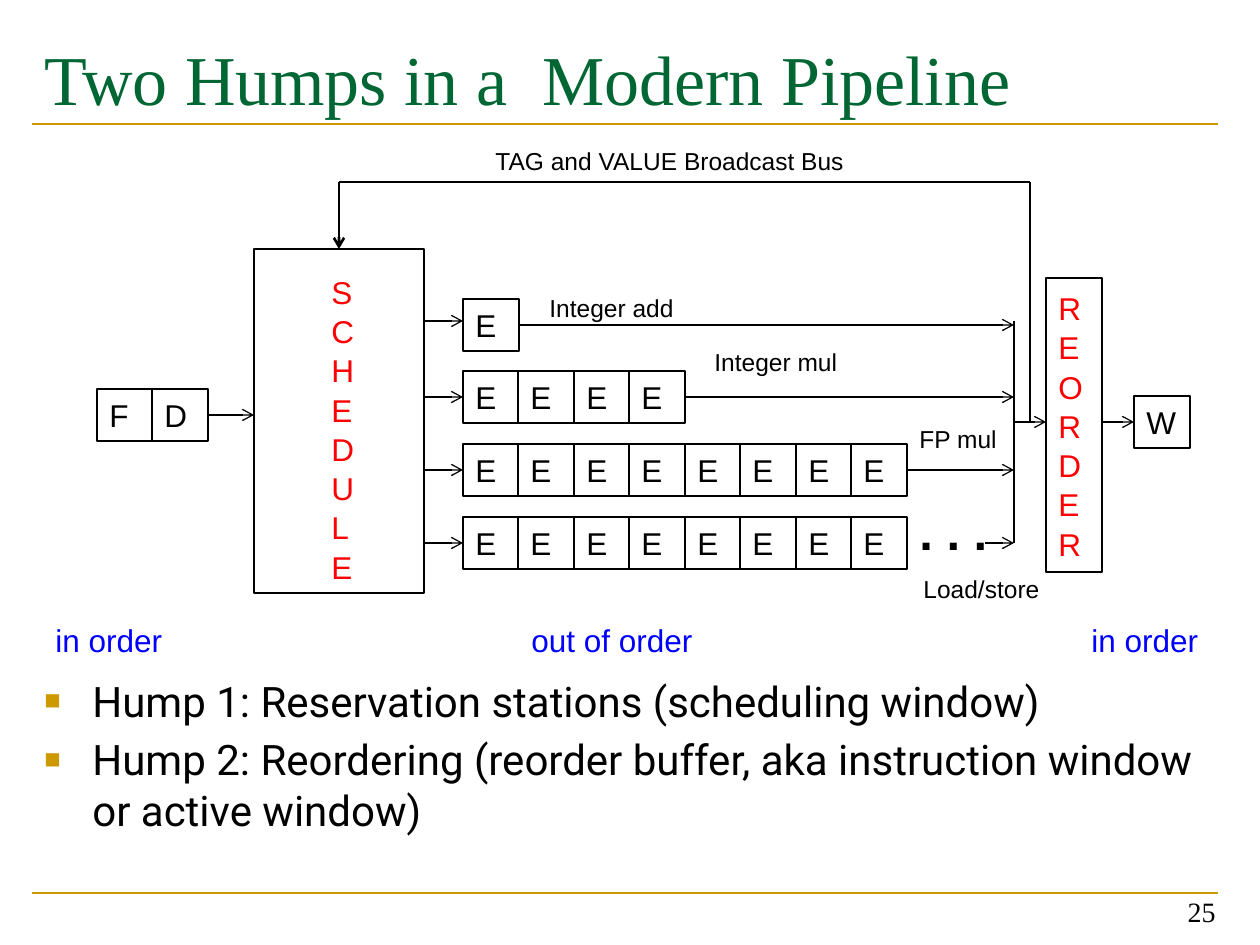
import dataclasses
import typing

import pptx
import pptx.dml.color
import pptx.enum.shapes
import pptx.enum.text
import pptx.oxml.ns
import pptx.util
from lxml import etree

SCALE = 914400 / 126  # EMU in one px
ANCHOR = pptx.enum.text.MSO_ANCHOR
ALIGN = pptx.enum.text.PP_ALIGN
TOP, LEFT, BOTTOM, RIGHT = range(4)


@dataclasses.dataclass(frozen=True)
class Theme:
    ink: str = "000000"
    paper: str = "FFFFFF"
    green: str = "006633"
    gold: str = "CC9900"
    red: str = "FF0000"
    blue: str = "0000FF"
    sans: str = "Arial"
    serif: str = "Times New Roman"
    body: str = "Roboto"
    title: int = 40
    dots: int = 28
    point: int = 24
    cell: int = 18
    page: int = 16
    label: int = 14
    thin: float = 0.75
    thick: float = 1.5


@dataclasses.dataclass(frozen=True)
class Box:
    x: int
    y: int
    w: int
    h: int


@dataclasses.dataclass(frozen=True)
class Lane:
    """One row of execute stages, with the height of its feed arrow."""
    count: int
    top: int
    feed: int


@dataclasses.dataclass(frozen=True)
class Label:
    text: str
    box: Box
    size: int
    color: str
    bold: bool = False
    wrap: bool = False


Join = typing.Optional[typing.Tuple[typing.Any, int]]
T = Theme()
CELL_H = 52
FEED_X, LANE_X, MERGE_X, BUS_X = 424, 463, 1014, 1030
BUS_Y, MERGE_Y = 182, 422
SCHED = Box(254, 249, 170, 344)
ORDER = Box(1046, 278, 56, 294)

LANES = [Lane(1, 299, 321), Lane(4, 371, 397),
         Lane(8, 444, 470), Lane(8, 517, 543)]

LABELS = [
    Label(". . .", Box(907, 495, 95, 72), T.dots, T.ink, bold=True),
    Label("Integer add", Box(537, 287, 150, 43), T.label, T.ink),
    Label("Integer mul", Box(702, 341, 149, 43), T.label, T.ink),
    Label("FP mul", Box(907, 418, 103, 43), T.label, T.ink),
    Label("Load/store", Box(911, 568, 169, 43), T.label, T.ink, wrap=True),
    Label("\n".join("SCHEDULE"), Box(319, 265, 48, 319), T.cell, T.red),
    Label("TAG and VALUE Broadcast Bus", Box(483, 140, 375, 43),
          T.label, T.ink),
    Label("in order", Box(43, 615, 134, 50), T.cell, T.blue),
    Label("out of order", Box(519, 615, 188, 50), T.cell, T.blue),
    Label("in order", Box(1079, 615, 134, 50), T.cell, T.blue),
]

POINTS = ["Hump 1: Reservation stations (scheduling window)",
          "Hump 2: Reordering (reorder buffer, aka instruction window "
          "or active window)"]


def px(n: float) -> int:
    return round(n * SCALE)


def rgb(code: str) -> pptx.dml.color.RGBColor:
    return pptx.dml.color.RGBColor.from_string(code)


def place(box: Box) -> typing.List[int]:
    return [px(n) for n in (box.x, box.y, box.w, box.h)]


def write(frame, text: str, *, size: int, color: str = T.ink,
          font: str = T.sans, bold: bool = False, wrap: bool = True,
          align=ALIGN.LEFT, anchor=ANCHOR.TOP, lead: float = 1.0,
          before: float = 0) -> None:
    """Fill a text frame, one paragraph for each line of text."""
    frame.word_wrap = wrap
    frame.vertical_anchor = anchor
    for i, line in enumerate(text.split("\n")):
        para = frame.add_paragraph() if i else frame.paragraphs[0]
        para.alignment = align
        para.line_spacing = lead
        para.space_before = pptx.util.Pt(before)
        run = para.add_run()
        run.text = line
        run.font.size = pptx.util.Pt(size)
        run.font.name = font
        run.font.bold = bold
        run.font.color.rgb = rgb(color)


def note(slide, box: Box, text: str, **form):
    shape = slide.shapes.add_textbox(*place(box))
    write(shape.text_frame, text, **form)
    return shape


def block(slide, box: Box, text: str = "", **form):
    """Draw a white, thinly outlined rectangle."""
    kind = pptx.enum.shapes.MSO_SHAPE.RECTANGLE
    shape = slide.shapes.add_shape(kind, *place(box))
    shape.shadow.inherit = False
    shape.fill.solid()
    shape.fill.fore_color.rgb = rgb(T.paper)
    shape.line.color.rgb = rgb(T.ink)
    shape.line.width = pptx.util.Pt(T.thin)
    if text:
        write(shape.text_frame, text, size=T.cell, **form)
    return shape


def stage(slide, x: int, y: int, text: str):
    return block(slide, Box(x, y, 56, CELL_H), text, anchor=ANCHOR.MIDDLE)


def link(slide, x1: int, y1: int, x2: int, y2: int, *, color: str = T.ink,
         width: float = T.thin, head: bool = False, start: Join = None,
         end: Join = None) -> None:
    """Draw a straight line; start and end join it to a shape's side."""
    kind = pptx.enum.shapes.MSO_CONNECTOR.STRAIGHT
    line = slide.shapes.add_connector(kind, *map(px, (x1, y1, x2, y2)))
    line.line.color.rgb = rgb(color)
    line.line.width = pptx.util.Pt(width)
    qn = pptx.oxml.ns.qn
    if head:
        etree.SubElement(line.line._get_or_add_ln(), qn("a:tailEnd"),
                         type="arrow")
    etree.SubElement(line._element.spPr, qn("a:effectLst"))
    if start:
        line.begin_connect(*start)
    if end:
        line.end_connect(*end)


def bullet(para) -> None:
    qn = pptx.oxml.ns.qn
    props = para._p.get_or_add_pPr()
    props.set("marL", str(px(48)))
    props.set("indent", str(-px(48)))
    tint = etree.SubElement(props, qn("a:buClr"))
    etree.SubElement(tint, qn("a:srgbClr"), val=T.gold)
    etree.SubElement(props, qn("a:buSzPct"), val="65000")
    etree.SubElement(props, qn("a:buFont"), typeface=T.sans)
    etree.SubElement(props, qn("a:buChar"), char="■")


def frame(slide) -> None:
    """Draw the rules, title, bullet points and page number."""
    for y in (893, 124):
        link(slide, 32, y, 1218, y, color=T.gold, width=T.thick)
    title = note(slide, Box(32, 21, 1187, 147),
                 "Two Humps in a  Modern Pipeline", size=T.title,
                 color=T.green, font=T.serif)
    title.text_frame.margin_top = px(15)
    points = note(slide, Box(32, 669, 1213, 184), "\n".join(POINTS),
                  size=T.point, font=T.body, before=4.8)
    for para in points.text_frame.paragraphs:
        bullet(para)
    note(slide, Box(934, 871, 294, 63), "25", size=T.page, font=T.serif,
         align=ALIGN.RIGHT, anchor=ANCHOR.BOTTOM)


def flow(slide) -> None:
    """Draw the pipeline from fetch to write-back."""
    sched = block(slide, SCHED)
    stage(slide, 97, 389, "F")
    decode = stage(slide, 152, 389, "D")
    link(slide, 208, 415, SCHED.x, 415, head=True, start=(decode, RIGHT))

    for lane in LANES:
        mid = lane.top + CELL_H // 2
        cells = [stage(slide, LANE_X + i * 111 // 2, lane.top, "E")
                 for i in range(lane.count)]
        link(slide, FEED_X, lane.feed, LANE_X, lane.feed, head=True,
             end=(cells[0], LEFT) if lane.feed == mid else None)
        last = lane is LANES[-1]
        link(slide, 985, mid, MERGE_X, mid, head=True,
             start=None if last else (cells[-1], RIGHT))
    for x in (FEED_X, MERGE_X):
        link(slide, x, LANES[0].feed, x, LANES[-1].feed)

    block(slide, ORDER, "\n".join("REORDER"), color=T.red, lead=1.04,
          anchor=ANCHOR.MIDDLE)
    final = stage(slide, 1134, 396, "W")
    link(slide, MERGE_X, MERGE_Y, ORDER.x, MERGE_Y, head=True)
    link(slide, ORDER.x + ORDER.w, MERGE_Y, 1134, MERGE_Y, head=True,
         end=(final, LEFT))

    drop = SCHED.x + SCHED.w // 2
    link(slide, BUS_X, MERGE_Y, BUS_X, BUS_Y, width=T.thick)
    link(slide, BUS_X, BUS_Y, drop, BUS_Y, width=T.thick)
    link(slide, drop, BUS_Y, drop, SCHED.y, width=T.thick, head=True,
         end=(sched, TOP))


def main() -> None:
    deck = pptx.Presentation()
    deck.slide_width, deck.slide_height = px(1260), px(945)
    slide = deck.slides.add_slide(deck.slide_layouts[6])
    frame(slide)
    flow(slide)
    for item in LABELS:
        note(slide, item.box, item.text, size=item.size, color=item.color,
             bold=item.bold, wrap=item.wrap,
             lead=1.04 if "\n" in item.text else 1.0)
    deck.save("out.pptx")


if __name__ == "__main__":
    main()
